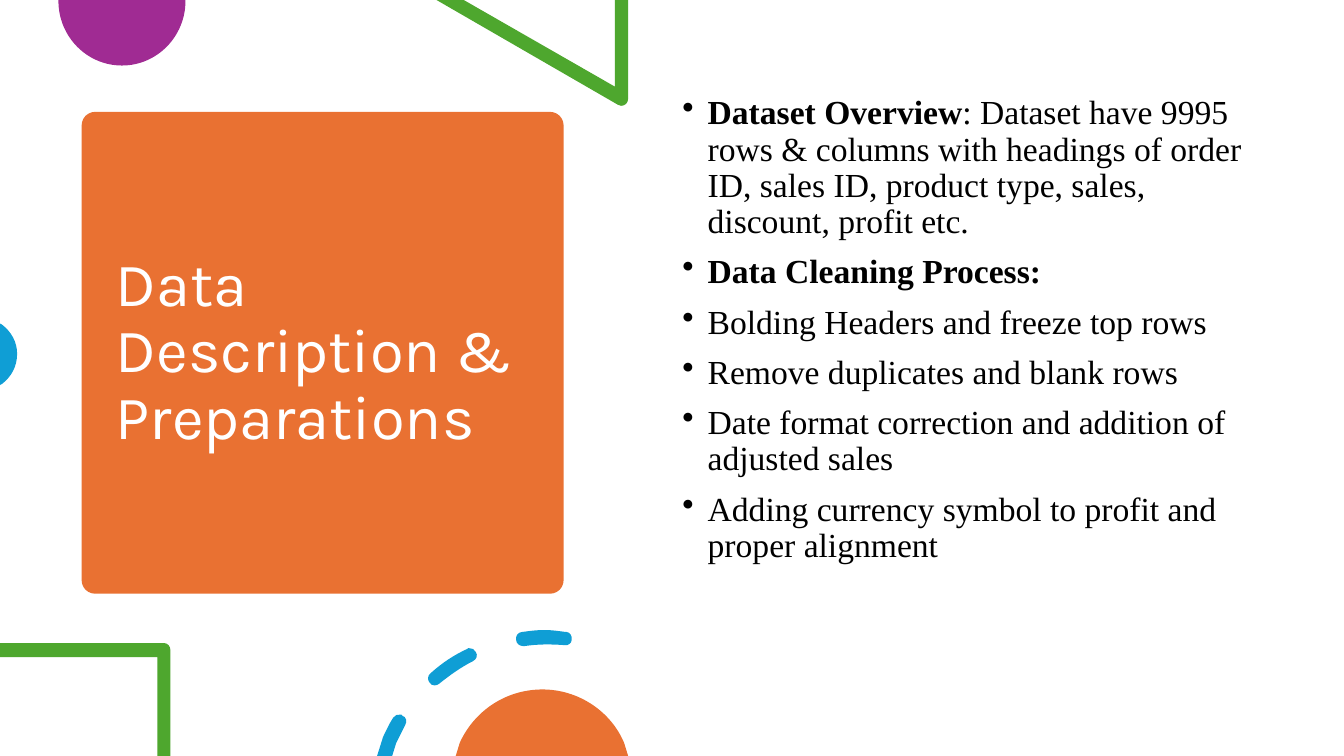
"""Build the slide on data description and preparations."""
from lxml.etree import SubElement
from pptx import Presentation
from pptx.dml.color import RGBColor
from pptx.enum.shapes import MSO_SHAPE
from pptx.enum.text import MSO_ANCHOR
from pptx.oxml.ns import qn
from pptx.util import Inches, Pt

ORANGE, GREEN, BLUE, PURPLE = "E97132", "4EA72E", "0F9ED5", "A02B93"


def paint(shape, color):
    shape.shadow.inherit = False
    shape.fill.solid()
    shape.fill.fore_color.rgb = RGBColor.from_string(color)
    shape.line.fill.background()


def write(para, text, color, format):
    run = para.add_run()
    run.text = text
    run.font.color.rgb = RGBColor.from_string(color)
    for name, value in format.items():
        setattr(run.font, name, value)


deck = Presentation()
deck.slide_width, deck.slide_height = Inches(13.33), Inches(7.5)
slide = deck.slides.add_slide(deck.slide_layouts[6])
shapes = slide.shapes

card = shapes.add_shape(MSO_SHAPE.ROUNDED_RECTANGLE, Inches(0.81), Inches(1.11),
                        Inches(4.78), Inches(4.78))
card.adjustments[0] = 0.028
paint(card, ORANGE)

title = shapes.add_textbox(Inches(1.05), Inches(1.22), Inches(4.31), Inches(4.56)).text_frame
title.word_wrap = True
title.vertical_anchor = MSO_ANCHOR.MIDDLE
title.paragraphs[0].line_spacing = 0.9
write(title.paragraphs[0], "Data Description & Preparations", "FFFFFF",
      {"name": "Karla", "size": Pt(44)})

disc = [(1.84, 0), (0.58, 0), (0.58, 0.01), (0.58, 0.36, 0.86, 0.65, 1.21, 0.65),
        (1.56, 0.65, 1.84, 0.36, 1.84, 0.01)]
wedge = [(6.23, 0), (6.1, 0), (6.1, 0.86), (4.6, 0), (4.33, 0), (6.13, 1.04),
         (6.14, 1.05, 6.15, 1.05, 6.16, 1.05), (6.2, 1.05, 6.23, 1.02, 6.23, 0.98)]
dot = [(0, 3.21), (0, 3.82), (0.02, 3.81), (0.11, 3.74, 0.17, 3.64, 0.17, 3.51),
       (0.17, 3.39, 0.11, 3.29, 0.02, 3.22)]
frame = [(1.63, 6.38), (0, 6.38), (0, 6.52), (1.56, 6.52), (1.56, 7.5), (1.69, 7.5),
         (1.69, 6.45), (1.69, 6.41, 1.66, 6.38, 1.63, 6.38)]
dashes = [
    [(3.97, 7.09), (3.94, 7.08, 3.92, 7.1, 3.9, 7.12), (3.86, 7.18, 3.83, 7.25, 3.8, 7.31),
     (3.74, 7.5), (3.89, 7.5), (3.93, 7.37), (3.96, 7.31, 3.99, 7.25, 4.02, 7.19),
     (4.04, 7.16, 4.03, 7.11, 3.99, 7.1), (3.99, 7.09, 3.98, 7.09, 3.97, 7.09)],
    [(4.65, 6.43), (4.65, 6.43, 4.64, 6.43, 4.63, 6.44), (4.5, 6.5, 4.38, 6.58, 4.27, 6.68),
     (4.24, 6.7, 4.24, 6.75, 4.26, 6.77), (4.27, 6.79, 4.29, 6.8, 4.31, 6.8), (4.31, 6.8),
     (4.33, 6.8, 4.35, 6.79, 4.36, 6.78), (4.46, 6.7, 4.57, 6.62, 4.69, 6.56),
     (4.73, 6.54, 4.74, 6.5, 4.72, 6.47), (4.71, 6.44, 4.68, 6.43, 4.65, 6.43)],
    [(5.4, 6.25), (5.32, 6.25, 5.25, 6.26, 5.18, 6.27), (5.14, 6.27, 5.11, 6.31, 5.12, 6.35),
     (5.12, 6.38, 5.15, 6.41, 5.19, 6.41), (5.19, 6.41, 5.19, 6.41, 5.2, 6.41),
     (5.33, 6.39, 5.46, 6.39, 5.6, 6.4), (5.63, 6.41, 5.67, 6.38, 5.67, 6.35),
     (5.68, 6.31, 5.65, 6.27, 5.62, 6.27), (5.62, 6.27, 5.61, 6.27, 5.61, 6.27),
     (5.54, 6.26, 5.47, 6.25, 5.4, 6.25)],
]
dome = [(5.38, 6.84), (5.01, 6.84, 4.7, 7.06, 4.56, 7.37), (4.52, 7.5), (6.23, 7.5),
        (6.19, 7.37), (6.06, 7.06, 5.74, 6.84, 5.38, 6.84)]

for color, loops in ((PURPLE, [disc]), (GREEN, [wedge]), (BLUE, [dot]),
                     (GREEN, [frame]), (BLUE, dashes), (ORANGE, [dome])):
    pen = None
    for loop in loops:
        spots = [(Inches(part[-2]), Inches(part[-1])) for part in loop]
        if pen is None:
            pen = shapes.build_freeform(*spots[0])
        else:
            pen.move_to(*spots[0])
        pen.add_line_segments(spots[1:], close=True)
    shape = pen.convert_to_shape()
    parts = [part for loop in loops for part in loop[1:]]
    for part, edge in zip(parts, list(shape._element.iter(qn("a:lnTo")))):
        if len(part) == 6:
            curve = edge.getparent().makeelement(qn("a:cubicBezTo"))
            for x, y in zip(part[::2], part[1::2]):
                spot = SubElement(curve, qn("a:pt"))
                spot.set("x", str(Inches(x) - shape.left))
                spot.set("y", str(Inches(y) - shape.top))
            edge.getparent().replace(edge, curve)
    paint(shape, color)

body = shapes.add_textbox(Inches(6.67), Inches(0.9), Inches(5.75), Inches(5.35)).text_frame
body.word_wrap = True
items = [
    ("Dataset Overview", ": Dataset have 9995 rows & columns with headings of order ID, "
     "sales ID, product type, sales, discount, profit etc."),
    ("Data Cleaning Process:", ""),
    ("", "Bolding Headers and freeze top rows"),
    ("", "Remove duplicates and blank rows"),
    ("", "Date format correction and addition of adjusted sales"),
    ("", "Adding currency symbol to profit and proper alignment"),
]
for index, (lead, rest) in enumerate(items):
    para = body.add_paragraph() if index else body.paragraphs[0]
    para.line_spacing, para.space_before = 0.9, Pt(10)
    props = para._p.get_or_add_pPr()
    props.set("marL", str(Inches(0.25)))
    props.set("indent", str(-Inches(0.25)))
    SubElement(props, qn("a:buChar")).set("char", "•")
    for text, bold in ((lead, True), (rest, False)):
        if text:
            write(para, text, "000000",
                  {"name": "Times New Roman", "size": Pt(24), "bold": bold})

deck.save("out.pptx")
